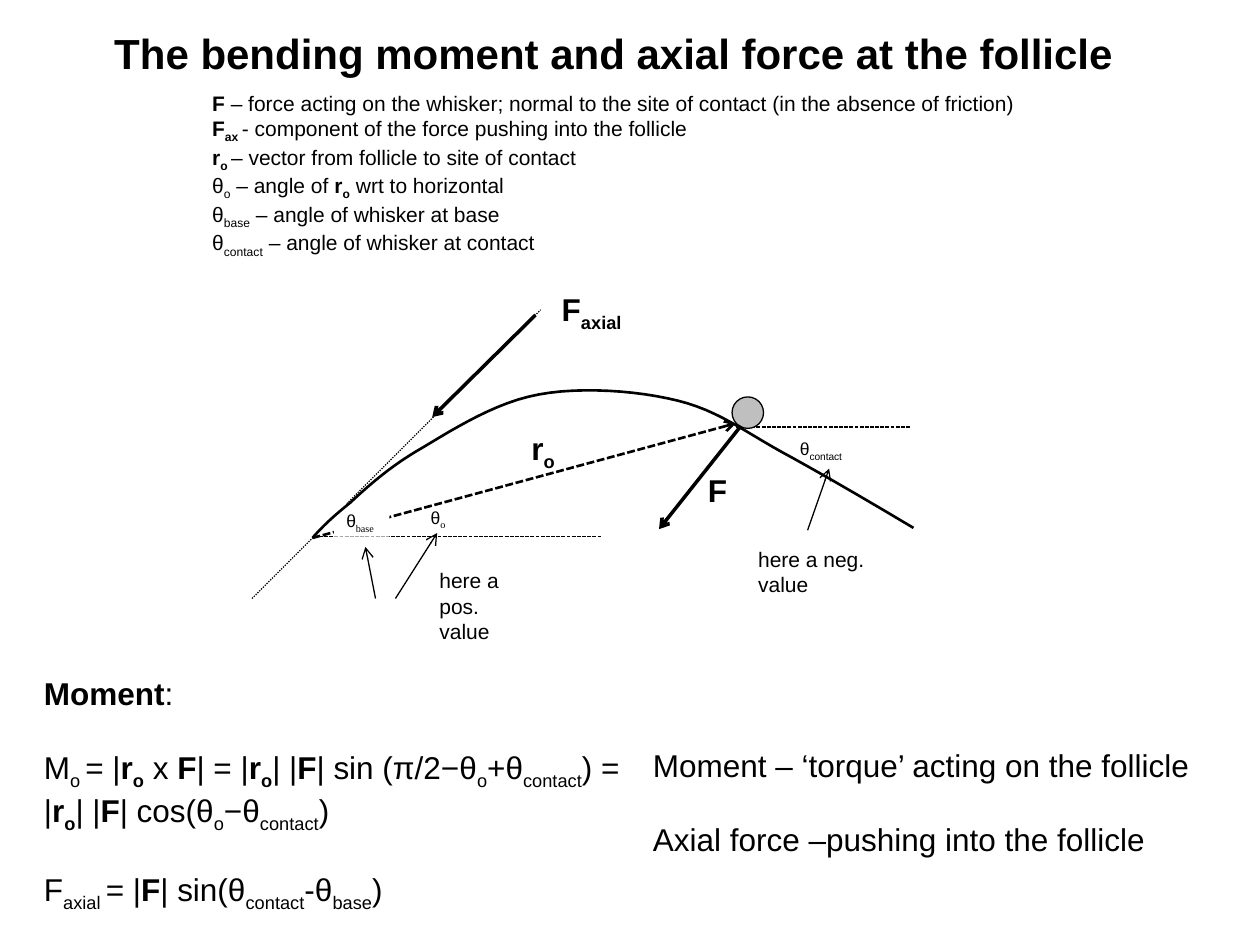
from dataclasses import dataclass

from lxml.etree import SubElement
from pptx import Presentation
from pptx.dml.color import RGBColor
from pptx.enum.dml import MSO_LINE_DASH_STYLE as Dash
from pptx.enum.shapes import MSO_CONNECTOR, MSO_SHAPE as Shape
from pptx.enum.text import MSO_ANCHOR as Anchor, MSO_AUTO_SIZE as AutoSize, PP_ALIGN as Align
from pptx.oxml.ns import qn
from pptx.util import Pt


@dataclass(frozen=True)
class Theme:
    ink: RGBColor = RGBColor(0, 0, 0)
    paper: RGBColor = RGBColor(255, 255, 255)
    post: RGBColor = RGBColor(0xBF, 0xBF, 0xBF)
    font: str = "Arial"
    serif: str = "Times New Roman"
    title: float = 24
    body: float = 18
    note: float = 12
    angle: float = 10
    thin: float = 0.75
    medium: float = 1.5
    thick: float = 2
    blank_line: float = 20.7


class SlideBuilder:
    """Holds the theme and the slide; in texts *...* is bold and ~...~ is subscript."""

    def __init__(self, slide, theme):
        self.slide, self.theme = slide, theme
        self.shapes = slide.shapes

    def fill_text(self, shape, lines, size, align=Align.LEFT, wrap=True, gaps=(), sub_font=None):
        frame = shape.text_frame
        frame.word_wrap = wrap
        frame.auto_size = AutoSize.SHAPE_TO_FIT_TEXT
        frame.vertical_anchor = Anchor.TOP
        frame.text = "\n".join([""] * len(lines))
        for index, (paragraph, line) in enumerate(zip(frame.paragraphs, lines)):
            paragraph.alignment = align
            paragraph.space_before = Pt(self.theme.blank_line if index in gaps else 0)
            for bold, chunk in enumerate(line.split("*")):
                for sub, piece in enumerate(chunk.split("~")):
                    if piece:
                        self.add_run(paragraph, piece, size, bold % 2, sub % 2, sub_font)

    def add_run(self, paragraph, piece, size, bold, sub, sub_font):
        run = paragraph.add_run()
        run.text = piece
        run.font.size = Pt(size)
        run.font.bold = bool(bold)
        run.font.name = sub_font if sub and sub_font else self.theme.font
        run.font.color.rgb = self.theme.ink
        if sub:
            run.font._element.set("baseline", "-25000")

    def place(self, shape, box):
        shape.left, shape.top, shape.width, shape.height = map(Pt, box)

    def title(self, box, words):
        self.place(self.shapes.title, box)
        self.fill_text(self.shapes.title, [f"*{words}*"], self.theme.title, Align.CENTER)

    def plain_list(self, box, lines):
        body = self.slide.placeholders[1]
        self.place(body, box)
        self.fill_text(body, lines, self.theme.note, wrap=False)
        for paragraph in body.text_frame.paragraphs:
            properties = paragraph._p.get_or_add_pPr()
            properties.set("marL", "0")
            properties.set("indent", "0")
            SubElement(properties, qn("a:buNone"))

    def text(self, box, lines, size, wrap=False, gaps=()):
        self.fill_text(self.shapes.add_textbox(*map(Pt, box)), lines, size, wrap=wrap, gaps=gaps)

    def preset(self, kind, box, colour):
        shape = self.shapes.add_shape(kind, *map(Pt, box))
        shape.shadow.inherit = False
        shape.fill.solid()
        shape.fill.fore_color.rgb = colour
        return shape

    def angle_label(self, box, words, sub_font=None):
        label = self.preset(Shape.RECTANGLE, box, self.theme.paper)
        label.line.fill.background()
        self.fill_text(label, [words], self.theme.angle, wrap=False, sub_font=sub_font)

    def post(self, box):
        self.stroke(self.preset(Shape.OVAL, box, self.theme.post), self.theme.thin)

    def stroke(self, shape, width, dash=None):
        shape.line.fill.solid()
        shape.line.fill.fore_color.rgb = self.theme.ink
        shape.line.width = Pt(width)
        if dash:
            shape.line.dash_style = dash

    def line(self, start, end, width, dash=None, arrow=False):
        link = self.shapes.add_connector(MSO_CONNECTOR.STRAIGHT, *map(Pt, start + end))
        self.stroke(link, width, dash)
        if arrow:
            SubElement(link.line._get_or_add_ln(), qn("a:tailEnd"), type="arrow")
        SubElement(link._element.spPr, qn("a:effectLst"))

    def curve(self, start, segments, width, steps=12):
        """Draws a chain of cubic Bézier segments."""
        points, origin = [], start
        for first, second, end in segments:
            for step in range(1, steps + 1):
                t = step / steps
                weights = ((1 - t) ** 3, 3 * t * (1 - t) ** 2, 3 * t * t * (1 - t), t ** 3)
                corners = (origin, first, second, end)
                points.append(tuple(
                    Pt(sum(w * corner[axis] for w, corner in zip(weights, corners)))
                    for axis in (0, 1)))
            origin = end
        builder = self.shapes.build_freeform(*map(Pt, start))
        builder.add_line_segments(points, close=False)
        outline = builder.convert_to_shape()
        outline.shadow.inherit = False
        outline.fill.background()
        self.stroke(outline, width)


def main():
    deck = Presentation()
    deck.slide_width, deck.slide_height = Pt(720), Pt(540)
    theme = Theme()
    page = SlideBuilder(deck.slides.add_slide(deck.slide_layouts[1]), theme)

    # Title and definitions
    page.title((24, 12, 660, 36), "The bending moment and axial force at the follicle ")
    page.plain_list((114, 48, 477.5, 109), [
        "*F* – force acting on the whisker; normal to the site of contact "
        "(in the absence of friction)",
        "*F~ax ~*- component of the force pushing into the follicle",
        "*r~o ~*– vector from follicle to site of contact",
        "θ~o~ – angle of *r~o~* wrt to horizontal",
        "θ~base~ – angle of whisker at base",
        "θ~contact~ – angle of whisker at contact",
    ])

    # Equations and their meaning
    page.text((18, 381.6, 348, 138), [
        "*Moment*:",
        "M~o ~= |*r~o~* x *F*| = |*r~o~*| |*F*| sin (π/2−θ~o~+θ~contact~) = "
        "|*r~o~*| |*F*| cos(θ~o~−θ~contact~)",
        "F~axial ~= |*F*| sin(θ~contact~-θ~base~)",
    ], theme.body, wrap=True, gaps=(1, 2))
    page.text((366, 423, 342, 75), [
        "Moment – ‘torque’ acting on the follicle",
        "Axial force –pushing into the follicle",
    ], theme.body, wrap=True, gaps=(1,))

    # Reference lines, contact post and angles
    follicle, contact = (178.6, 307.4), (420.5, 241.9)
    page.line((420.5, 244), (520.5, 244), theme.thin, Dash.SQUARE_DOT)
    page.angle_label((239, 286, 23, 18.7), "θ~o~", theme.serif)
    page.line((144, 342), (309, 177), theme.thin, Dash.ROUND_DOT)
    page.line((179.3, 306.7), (344.3, 306.7), theme.thin, Dash.SQUARE_DOT)
    page.post((418.3, 226.8, 18, 18))
    page.angle_label((450, 247, 41, 18.7), "θ~contact~")

    # Contact force and position vector
    page.line((423.4, 243.4), (376.6, 302.4), theme.thick, arrow=True)
    page.line(follicle, contact, theme.medium, Dash.SQUARE_DOT, arrow=True)
    page.angle_label((190.8, 288, 31.7, 18.7), "θ~base~", theme.serif)

    # Whisker
    page.curve(follicle, [
        ((183.6, 301.7), (189.4, 295.9), (200.2, 287.3)),
        ((210.2, 277.9), (223.9, 265.7), (241.9, 255.6)),
        ((259.9, 244.8), (283.7, 229.7), (308.2, 225.4)),
        ((331.9, 221), (364.3, 223.2), (387.4, 229)),
        ((410.4, 234.7), (424.8, 246.2), (447.1, 258.5)),
        ((469.4, 270.7), (495.4, 285.8), (522, 301.7)),
    ], theme.medium)

    # Vector names
    page.text((296.6, 241.9, 28.8, 28.8), ["*r~o~*"], theme.body)
    page.text((397.4, 265.7, 25, 28.8), ["*F*"], theme.body)
    page.text((313.9, 162, 51.8, 28.8), ["*F~axial~*"], theme.body)

    # Sign notes with pointers to the angles
    page.text((244, 321, 73.4, 36), ["here a pos.", "value"], theme.note, wrap=True)
    page.text((426.2, 308.9, 77, 36), ["here a neg.", "value"], theme.note)
    for start, end in (((214.6, 342), (208.8, 312.5)),
                       ((461.5, 303), (473.8, 267.8)),
                       ((226, 342), (249.8, 304.6))):
        page.line(start, end, theme.thin, arrow=True)

    # Axial force
    page.line((306, 180), (247, 238.3), theme.thick, arrow=True)
    deck.save("out.pptx")


if __name__ == "__main__":
    main()
